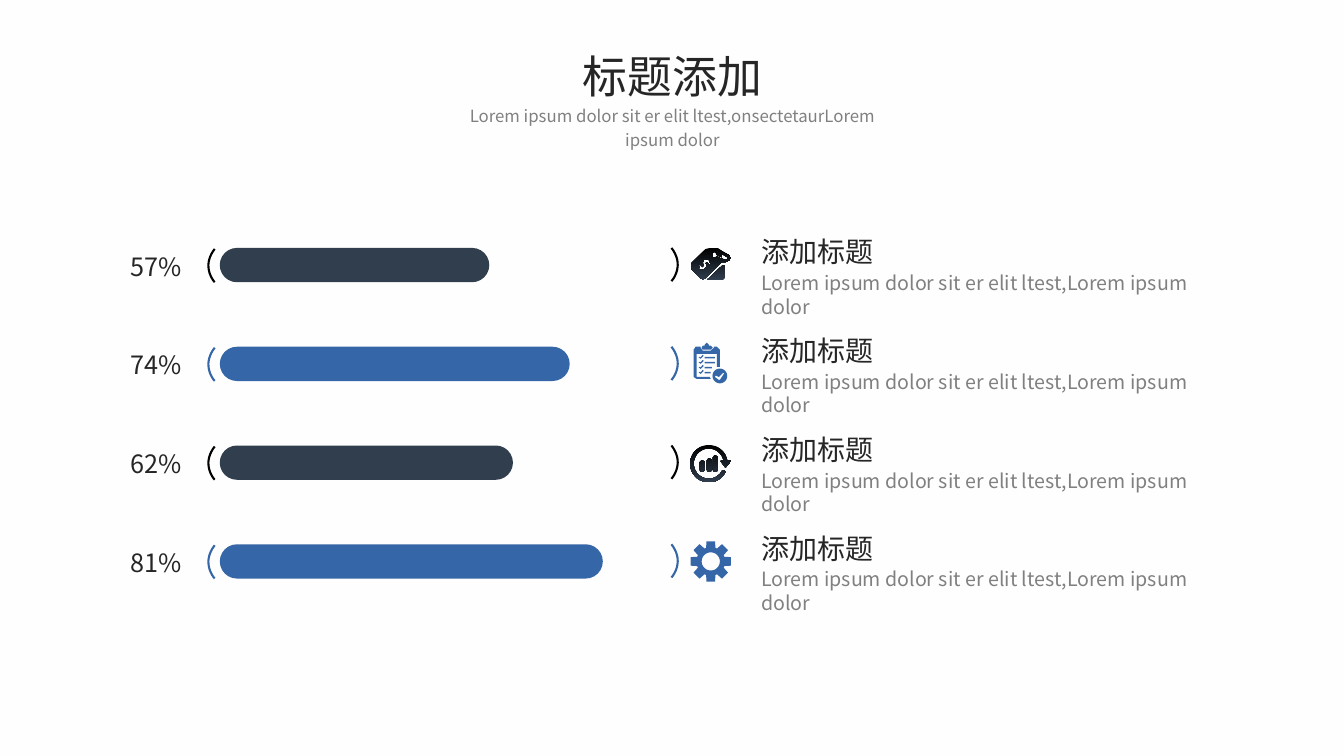
from math import cos, radians, sin

from pptx import Presentation
from pptx.dml.color import RGBColor
from pptx.enum import shapes, text
from pptx.util import Inches, Pt

TITLE = "标题添加"
SUBTITLE = "Lorem ipsum dolor sit er elit ltest,onsectetaurLorem ipsum dolor"
HEADING = "添加标题"
BODY = "Lorem ipsum dolor sit er elit ltest,Lorem ipsum dolor"
ROWS = [(57, "dark", "tags"), (74, "blue", "checklist"),
        (62, "dark", "refresh"), (81, "blue", "gear")]

THEME = {
    "font": "Noto Sans CJK SC",
    "background": "FEFEFE", "ink": "262626", "grey": "808080",
    "dark": "313E4E", "blue": "3566A7", "black": "000000",
    "title": 32, "subtitle": 12, "percent": 18, "heading": 20, "body": 14,
    "bracket": 1.5,
}

ROW_TOP, ROW_PITCH = 2.46, 0.98
BAR_LEFT, BAR_HEIGHT, FULL_BAR = 2.18, 0.34, 4.69
BRACKET_HEIGHT, BRACKET_BOW = 0.33, 0.14
OPENING_X, CLOSING_X = 2.13, 6.66
ICON_LEFT = 6.85
TEXT_LEFT = 7.45


def color(name):
    return RGBColor.from_string(THEME[name])


# Icon outlines are in hundredths of an inch from the icon's top left corner.
def arc(cx, cy, radius, start=0, end=360, steps=48):
    angles = [radians(start + (end - start) * i / steps) for i in range(steps + 1)]
    return [(cx + radius * cos(a), cy + radius * sin(a)) for a in angles]


def box(left, top, right, bottom):
    return [(left, top), (right, top), (right, bottom), (left, bottom)]


def pill(left, top, right, bottom):
    radius = (right - left) / 2
    middle = left + radius
    return (arc(middle, top + radius, radius, 180, 360, 12)
            + arc(middle, bottom - radius, radius, 0, 180, 12))


def tags():
    front = [(19, 0), (27, 0), (31, 3), (38, 7), (40, 10), (39, 12), (35, 14),
             (31, 14), (15, 30), (12, 31), (10, 30), (0, 20), (0, 16), (15, 1)]
    string = [(24, 4), (22, 5), (22, 9), (25, 9), (26, 8), (29, 10), (34, 11.5),
              (37, 11), (36, 9), (31, 6), (31, 9), (30, 9), (26, 7), (25, 5)]
    dollar = [(18, 11), (18, 12), (16, 11.5), (13, 12), (12, 15), (13, 17), (12, 19),
              (11, 18), (10, 17), (9, 16), (8, 17), (9, 19), (8, 21), (9, 22),
              (11, 21), (13, 22), (16, 18), (15, 15), (16, 14), (18, 16),
              (20, 16), (19, 14), (19, 12)]
    back = [(32, 17), (34, 17), (34, 29), (31, 32), (17, 32), (16.5, 31.5)]
    return [front, string, dollar, back]


def checklist():
    clip = [(20, -1), (18, -1), (18, -2), (16, -4), (14, -2), (14, -1),
            (12, -1), (11, 1), (12, 3), (20, 3), (22, 1)]
    board = [(20, 32), (6, 32), (3, 30), (3, 3), (5, 0), (10, 0), (10, 1), (12, 4),
             (20, 4), (23, 1), (23, 0), (26, 0), (29, 3), (29, 20), (26, 20),
             (26, 7), (6, 7), (6, 30), (19, 30)]
    check = [(33, 27), (29, 33), (28, 33), (24, 30), (25, 28.5),
             (28, 30), (32, 26), (33, 26)]
    outlines = [clip, board, arc(29, 29, 7.3), check]
    for i, line_right in enumerate([24, 24, 21, 20]):
        y = 8 + 5 * i
        outlines.append(box(14, y + 2, line_right, y + 3.5))
        outlines.append([(13, y + 1), (10, y + 4), (8, y + 2.5),
                         (9, y + 2), (10, y + 2.5), (12, y)])
    return outlines


def refresh():
    arrow = [(30, 15), (30, 16), (34.5, 22), (40, 16), (40, 15)]
    ring = arc(18, 18, 18.5, -11, -335) + arc(18, 18, 15, -335, -11) + arrow
    return [ring] + [pill(left, top, left + 5, 26)
                     for left, top in [(9, 15), (16, 13), (22, 10)]]


def gear():
    tooth = [(-19, 14.2), (-12, 20.4), (12, 20.4), (19, 14.2)]
    rim = [(20 + r * cos(radians(45 * k + a)), 17 + r * sin(radians(45 * k + a)))
           for k in range(8) for a, r in tooth]
    return [rim, arc(20, 17, 9)]


ICONS = {"tags": tags, "checklist": checklist, "refresh": refresh, "gear": gear}


def add_text(slide, words, left, top, width, height, size, ink="ink",
             align=text.PP_ALIGN.LEFT, spacing=None):
    frame = slide.shapes.add_textbox(
        Inches(left), Inches(top), Inches(width), Inches(height)).text_frame
    frame.word_wrap = True
    frame.auto_size = text.MSO_AUTO_SIZE.SHAPE_TO_FIT_TEXT
    paragraph = frame.paragraphs[0]
    paragraph.alignment = align
    if spacing:
        paragraph.line_spacing = spacing
    run = paragraph.add_run()
    run.text = words
    run.font.name = THEME["font"]
    run.font.size = Pt(THEME[size])
    run.font.color.rgb = color(ink)


def add_outline(slide, outlines, closed=True):
    """Draw outlines, given in inches, as one freeform."""
    paths = [[(Inches(x), Inches(y)) for x, y in outline] for outline in outlines]
    builder = slide.shapes.build_freeform(*paths[0][0], scale=1.0)
    for i, points in enumerate(paths):
        if i:
            builder.move_to(*points[0])
        builder.add_line_segments(points[1:], close=closed)
    outline_shape = builder.convert_to_shape()
    outline_shape.shadow.inherit = False
    return outline_shape


def add_bracket(slide, x, top, bow, ink):
    steps = [i / 20 for i in range(21)]
    curve = [(x + 3 * (1 - t) * t * t * bow,
              top + BRACKET_HEIGHT * ((1 - t) ** 3 + 3 * (1 - t) ** 2 * t)
              + 0.18 * 3 * (1 - t) * t * t) for t in steps]
    bracket = add_outline(slide, [curve], closed=False)
    bracket.fill.background()
    bracket.line.color.rgb = color(ink)
    bracket.line.width = Pt(THEME["bracket"])


def add_icon(slide, name, top, tone):
    icon = add_outline(slide, [[(ICON_LEFT + x / 100, top + y / 100) for x, y in outline]
                               for outline in ICONS[name]()])
    icon.line.fill.background()
    if tone == "dark":
        icon.fill.gradient()
        icon.fill.gradient_angle = 270
        for stop, shade in zip(icon.fill.gradient_stops, ["black", "dark"]):
            stop.color.rgb = color(shade)
    else:
        icon.fill.solid()
        icon.fill.fore_color.rgb = color(tone)


def add_row(slide, top, percent, tone, icon_name):
    bar = slide.shapes.add_shape(
        shapes.MSO_SHAPE.ROUNDED_RECTANGLE, Inches(BAR_LEFT), Inches(top),
        Inches(FULL_BAR * percent / 100), Inches(BAR_HEIGHT))
    bar.adjustments[0] = 0.5
    bar.shadow.inherit = False
    bar.fill.solid()
    bar.fill.fore_color.rgb = color(tone)
    bar.line.fill.background()

    bracket_ink = "black" if tone == "dark" else tone
    add_bracket(slide, OPENING_X, top + 0.01, -BRACKET_BOW, bracket_ink)
    add_text(slide, f"{percent}%", 0.98, top - 0.02, 0.92, 0.4, "percent",
             align=text.PP_ALIGN.RIGHT)
    add_icon(slide, icon_name, top, tone)
    add_bracket(slide, CLOSING_X, top, BRACKET_BOW, bracket_ink)
    add_text(slide, HEADING, TEXT_LEFT, top - 0.18, 1.51, 0.44, "heading",
             align=text.PP_ALIGN.JUSTIFY)
    add_text(slide, BODY, TEXT_LEFT, top + 0.18, 4.48, 0.57, "body", ink="grey")


def main():
    deck = Presentation()
    deck.slide_width, deck.slide_height = Inches(13.33), Inches(7.5)
    slide = deck.slides.add_slide(deck.slide_layouts[6])
    slide.background.fill.solid()
    slide.background.fill.fore_color.rgb = color("background")
    for i, row in enumerate(ROWS):
        add_row(slide, ROW_TOP + i * ROW_PITCH, *row)
    add_text(slide, TITLE, 5.56, 0.43, 2.22, 0.64, "title", align=text.PP_ALIGN.CENTER)
    add_text(slide, SUBTITLE, 4.32, 0.96, 4.7, 0.57, "subtitle", ink="grey",
             align=text.PP_ALIGN.CENTER, spacing=1.2)
    deck.save("out.pptx")


if __name__ == "__main__":
    main()
